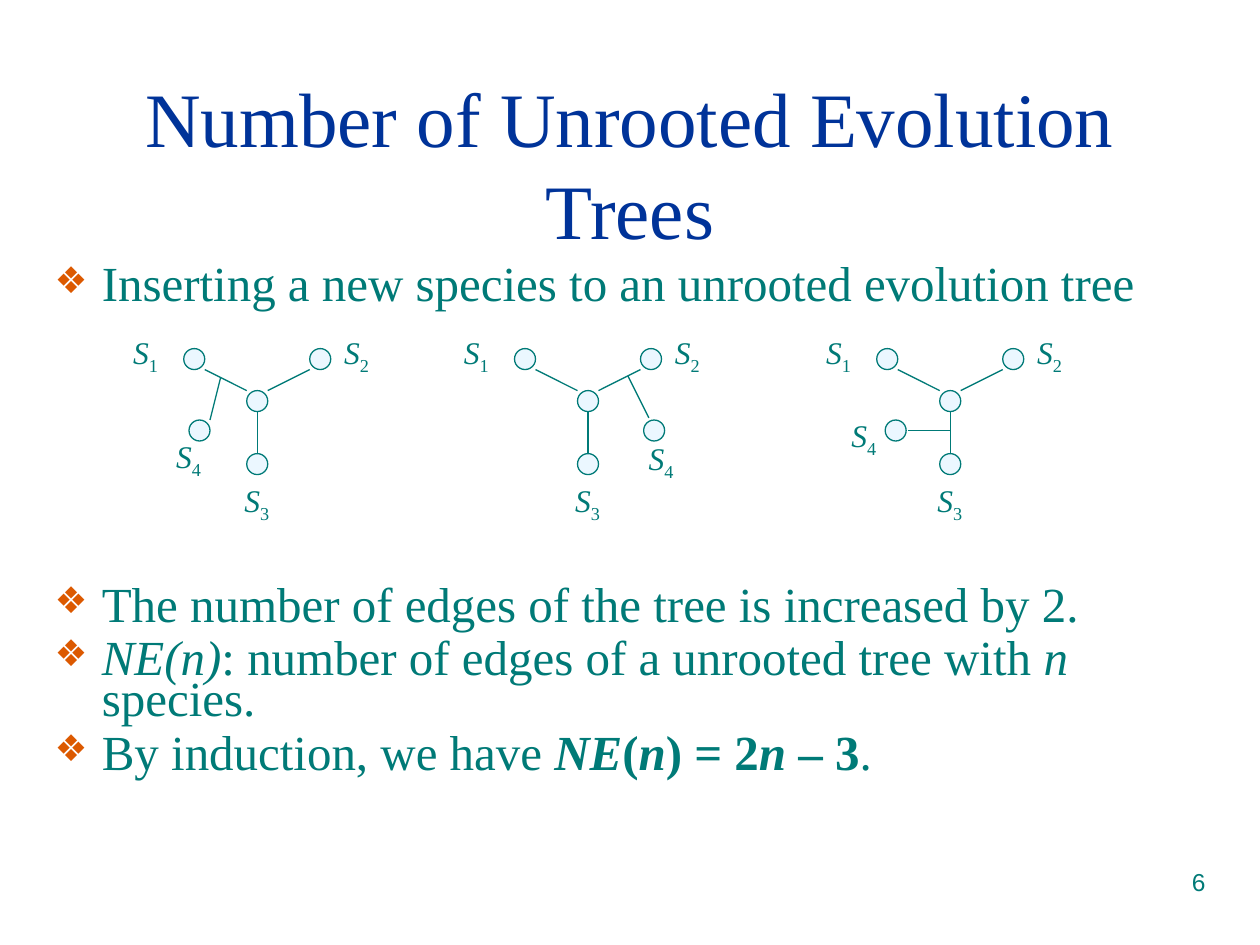
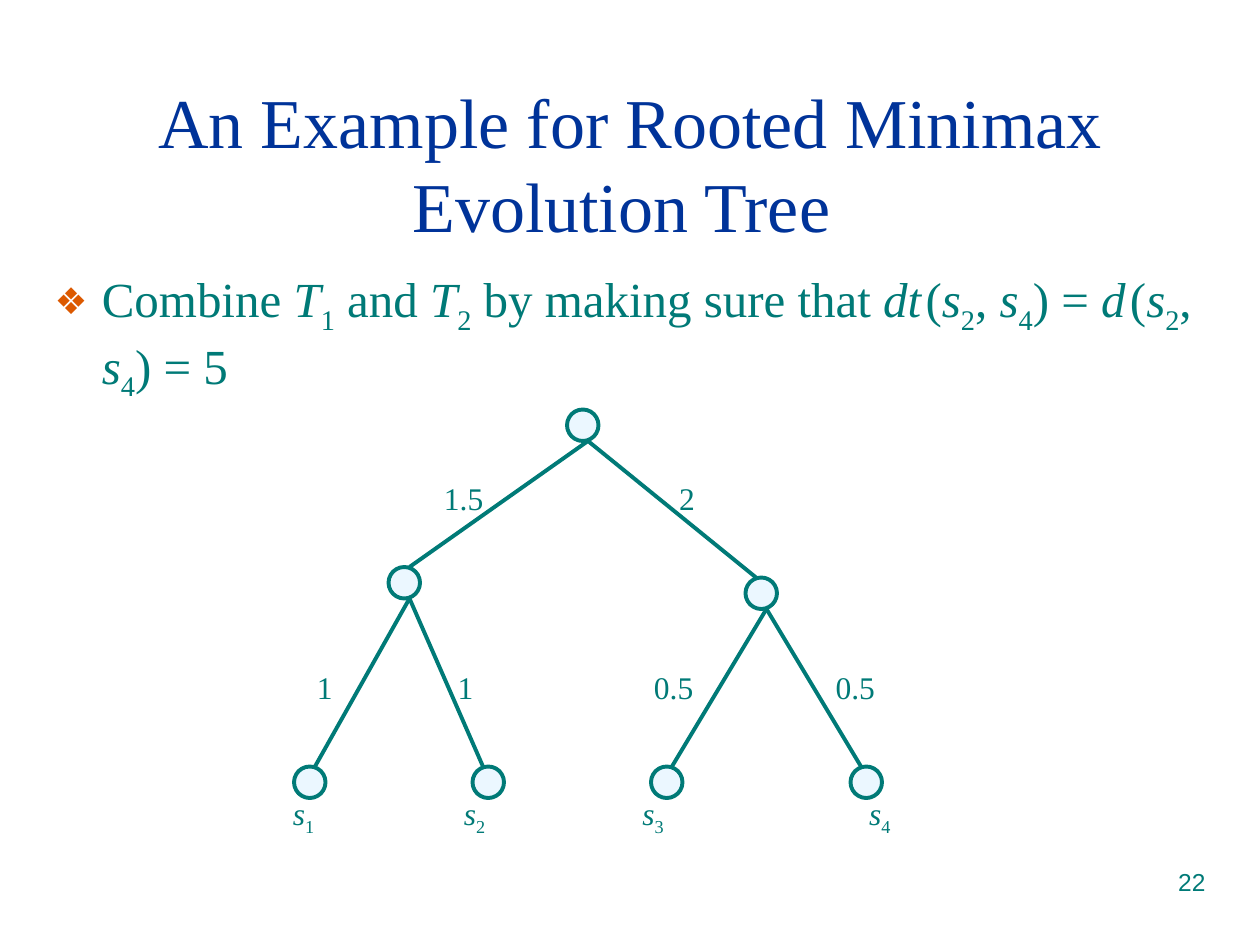
from dataclasses import dataclass

from lxml.etree import SubElement
from pptx import Presentation
from pptx.dml.color import RGBColor
from pptx.enum.shapes import MSO_CONNECTOR, MSO_SHAPE
from pptx.enum.text import MSO_ANCHOR, MSO_AUTO_SIZE, PP_ALIGN
from pptx.oxml.ns import qn
from pptx.util import Emu, Pt


@dataclass(frozen=True)
class Theme:
    title: str = "003399"
    text: str = "007A77"
    bullet: str = "DC5900"
    node: str = "EBF7FF"
    serif: str = "Times New Roman"
    sans: str = "Arial"
    body_size: int = 28
    label_size: int = 18
    number_size: int = 14
    space_before: int = 7


theme = Theme()


def px(count):
    return Emu(count * 7620)


def add_text(paragraph, text, size=theme.body_size, color=theme.text, font=theme.serif,
             bold=False, italic=False, subscript=False):
    run = paragraph.add_run()
    run.text = text
    run.font.size = Pt(size)
    run.font.name = font
    run.font.bold = bold
    run.font.italic = italic
    run.font.color.rgb = RGBColor.from_string(color)
    if subscript:
        run._r.get_or_add_rPr().set("baseline", "-25000")


plain = {}
italic = {"italic": True}
bold = {"bold": True}
bold_italic = {"bold": True, "italic": True}
subscript = {"subscript": True}
thin_space = {"italic": True, "size": 10}

insertion_nodes, insertion_edges, insertion_labels = [], [], []
for hub_x in (245, 560, 905):
    insertion_nodes += [(hub_x - 10, 372), (hub_x - 10, 432), (hub_x + 50, 332), (hub_x - 70, 332)]
    insertion_edges += [
        (hub_x - 50, 352, hub_x - 10, 372),
        (hub_x + 10, 372, hub_x + 50, 352),
        (hub_x, 392, hub_x, 432),
    ]
    insertion_labels += [
        (hub_x - 130, 311, 48, "S", "1"),
        (hub_x - 24, 452, 48, "S", "3"),
        (hub_x + 71, 311, 48, "S", "2"),
    ]
insertion_nodes += [(180, 400), (843, 400), (613, 400)]
insertion_edges += [(210, 360, 200, 400), (598, 358, 618, 398), (865, 410, 905, 410)]
insertion_labels += [(156, 410, 48, "S", "4"), (606, 412, 48, "S", "4"), (799, 390, 48, "S", "4")]

root, left_parent, right_parent = (540, 390), (370, 540), (710, 550)
leaves = [(x, 730) for x in (280, 450, 620, 810)]
minimax_edges = []
for parent, left_child, right_child in (
    (left_parent, leaves[0], leaves[1]),
    (right_parent, leaves[2], leaves[3]),
    (root, left_parent, right_parent),
):
    for child, offset in ((left_child, 20), (right_child, 10)):
        minimax_edges.append((parent[0] + 20, parent[1] + 30, child[0] + offset, child[1]))

minimax_labels = [
    (411, 450, 62, "1.5", ""), (635, 450, 39, "2", ""),
    (290, 630, 39, "1", ""), (424, 630, 39, "1", ""),
    (611, 630, 62, "0.5", ""), (784, 630, 62, "0.5", ""),
]
for index, x in enumerate((267, 430, 600, 816), start=1):
    minimax_labels.append((x, 750, 45, "s", str(index)))

slides = [
    {
        "title": "Number of Unrooted Evolution Trees",
        "title_size": 44,
        "line_spacing": 0.7,
        "bullets": [
            (0, [("Inserting a new species to an unrooted evolution tree", plain)]),
            (159.5, [("The number of edges of the tree is increased by 2.", plain)]),
            (theme.space_before, [
                ("NE(n)", italic), (": number of edges of a unrooted tree with ", plain),
                ("n", italic), (" species.", plain),
            ]),
            (theme.space_before, [
                ("By induction, we have ", plain), ("NE", bold_italic), ("(", bold),
                ("n", bold_italic), (") = 2", bold), ("n ", bold_italic),
                ("– 3", bold), (".", plain),
            ]),
        ],
        "nodes": insertion_nodes,
        "node_size": 20,
        "line_width": 0.75,
        "edges": insertion_edges,
        "labels": insertion_labels,
        "number": "6",
    },
    {
        "title": "An Example for Rooted Minimax Evolution Tree ",
        "title_size": 40,
        "line_spacing": 1.0,
        "bullets": [
            (0, [
                ("Combine ", plain), ("T", italic), ("1", subscript), (" and ", plain),
                ("T", italic), ("2", subscript), (" by making sure that ", plain),
                ("dt", italic), (" ", thin_space), ("(", plain),
                ("s", italic), ("2", subscript), (", ", plain),
                ("s", italic), ("4", subscript), (") = ", plain),
                ("d", italic), (" ", thin_space), ("(", plain),
                ("s", italic), ("2", subscript), (", ", plain),
                ("s", italic), ("4", subscript), (") = 5", plain),
            ]),
        ],
        "nodes": [root, left_parent, right_parent, *leaves],
        "node_size": 30,
        "line_width": 2.25,
        "edges": minimax_edges,
        "labels": minimax_labels,
        "number": "22",
    },
]

presentation = Presentation()
presentation.slide_width = px(1200)
presentation.slide_height = px(900)
layout = presentation.slide_layouts[1]

for content in slides:
    slide = presentation.slides.add_slide(layout)

    title = slide.shapes.title
    title.left, title.top, title.width, title.height = px(40), px(80), px(1120), px(150)
    title.text_frame.auto_size = MSO_AUTO_SIZE.NONE
    title.text_frame.vertical_anchor = MSO_ANCHOR.MIDDLE
    paragraph = title.text_frame.paragraphs[0]
    paragraph.alignment = PP_ALIGN.CENTER
    add_text(paragraph, content["title"], size=content["title_size"], color=theme.title)

    body = slide.placeholders[1]
    body.left, body.top, body.width, body.height = px(40), px(250), px(1120), px(551)
    body.text_frame.auto_size = MSO_AUTO_SIZE.NONE
    for index, (space_before, runs) in enumerate(content["bullets"]):
        paragraph = body.text_frame.add_paragraph() if index else body.text_frame.paragraphs[0]
        properties = paragraph._p.get_or_add_pPr()
        properties.set("marL", str(px(45)))
        properties.set("indent", str(px(-45)))
        bullet_color = SubElement(properties, qn("a:buClr"))
        SubElement(bullet_color, qn("a:srgbClr"), val=theme.bullet)
        SubElement(properties, qn("a:buSzPct"), val="75000")
        SubElement(properties, qn("a:buChar"), char="❖")
        paragraph.line_spacing = content["line_spacing"]
        paragraph.space_before = Pt(space_before)
        for text, text_format in runs:
            add_text(paragraph, text, **text_format)

    size = px(content["node_size"])
    for x, y in content["nodes"]:
        node = slide.shapes.add_shape(MSO_SHAPE.OVAL, px(x), px(y), size, size)
        node.shadow.inherit = False
        node.fill.solid()
        node.fill.fore_color.rgb = RGBColor.from_string(theme.node)
        node.line.color.rgb = RGBColor.from_string(theme.text)
        node.line.width = Pt(content["line_width"])

    for edge in content["edges"]:
        connector = slide.shapes.add_connector(MSO_CONNECTOR.STRAIGHT, *map(px, edge))
        connector.line.color.rgb = RGBColor.from_string(theme.text)
        connector.line.width = Pt(content["line_width"])
        SubElement(connector._element.spPr, qn("a:effectLst"))

    for x, y, width, text, index_text in content["labels"]:
        label = slide.shapes.add_textbox(px(x), px(y), px(width), px(53 if index_text else 48))
        label.text_frame.word_wrap = False
        label.text_frame.auto_size = MSO_AUTO_SIZE.SHAPE_TO_FIT_TEXT
        paragraph = label.text_frame.paragraphs[0]
        add_text(paragraph, text, size=theme.label_size, italic=bool(index_text))
        if index_text:
            add_text(paragraph, index_text, size=theme.label_size, subscript=True)

    number = slide.shapes.add_textbox(px(860), px(820), px(300), px(62))
    number.text_frame.word_wrap = True
    paragraph = number.text_frame.paragraphs[0]
    paragraph.alignment = PP_ALIGN.RIGHT
    add_text(paragraph, content["number"], size=theme.number_size, font=theme.sans)

presentation.save("out.pptx")
